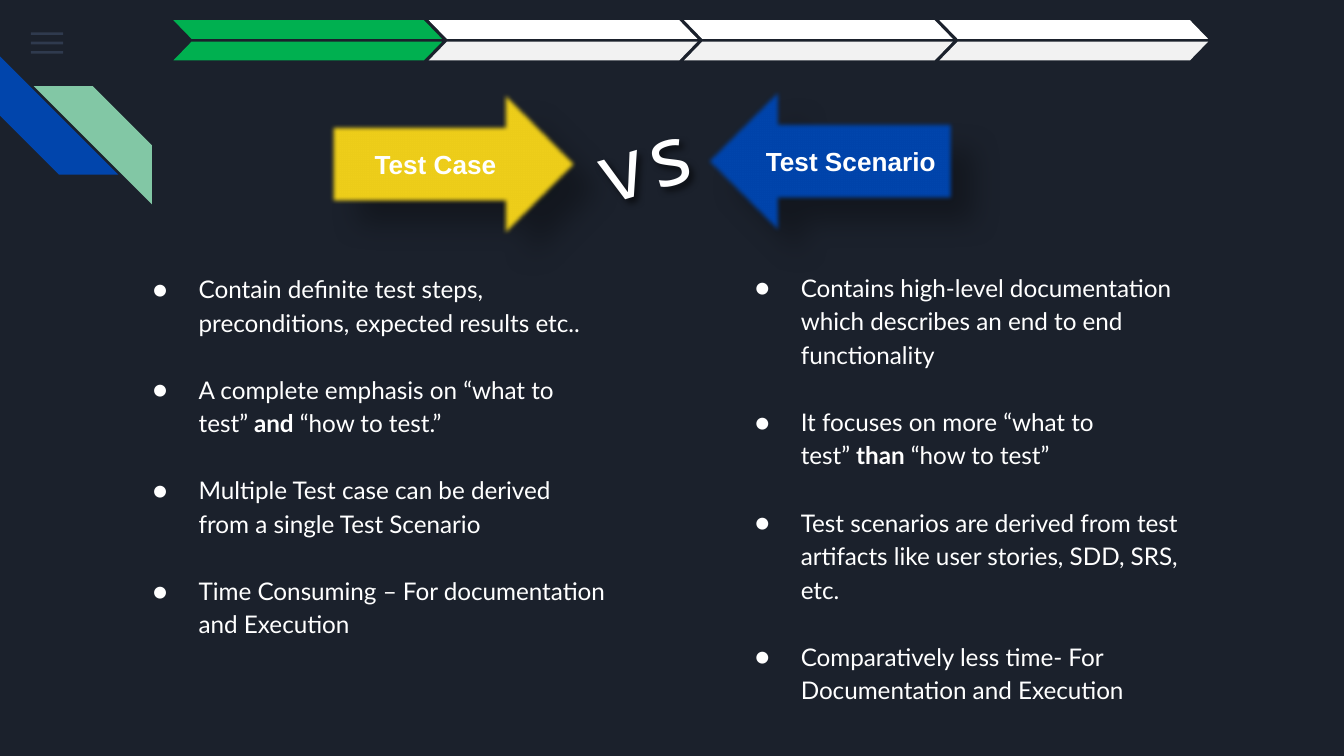
"""Build the test case versus test scenario slide."""
import pptx
import pptx.dml.color
import pptx.enum.shapes
import pptx.enum.text
import pptx.oxml.ns
import pptx.util
from lxml import etree

Inches = pptx.util.Inches
Pt = pptx.util.Pt
qn = pptx.oxml.ns.qn
KIND = pptx.enum.shapes.MSO_SHAPE
ALIGN = pptx.enum.text.PP_ALIGN
ANCHOR = pptx.enum.text.MSO_ANCHOR

WHITE, PALE, GREEN = "FFFFFF", "F2F2F2", "00B050"
BLUE, GOLD, MINT = "0145AC", "EECE1A", "82C7A5"
HARD = chr(160)

CASE = [
    [("Contain definite test steps, preconditions, expected results etc..", False)],
    [("A complete emphasis on “what to test”" + HARD, False), ("and", True),
     (HARD + "“how to test.”", False)],
    [("Multiple Test case can be derived from a single Test Scenario", False)],
    [("Time Consuming – For documentation and Execution", False)],
]
SCENE = [
    [("Contains high-level documentation which describes an end to end functionality" + HARD,
      False)],
    [("It focuses on more “what to test”" + HARD, False), ("than", True),
     (HARD + "“how to test”", False)],
    [("Test scenarios are derived from test artifacts like user stories, SDD, SRS, etc.", False)],
    [("Comparatively less time- For Documentation and Execution", False)],
]


def color(code):
    """Turn a hex string into a colour."""
    return pptx.dml.color.RGBColor.from_string(code)


def sub(node, tag, **attrs):
    """Add a child element with the given attributes."""
    return etree.SubElement(node, qn(tag), {key: str(val) for key, val in attrs.items()})


def write(par, text, font="Arial", size=14, bold=False):
    """Add a white run of text to a paragraph."""
    run = par.add_run()
    run.text = text
    run.font.name = font
    run.font.size = Pt(size)
    run.font.bold = bold
    run.font.color.rgb = color(WHITE)


def draw(slide, kind, box, fill, flip=False, turn=0, adj=None, alpha=None):
    """Draw a filled preset shape without an outline."""
    shape = slide.shapes.add_shape(kind, *map(Inches, box))
    shape.shadow.inherit = False
    shape.fill.solid()
    shape.fill.fore_color.rgb = color(fill)
    shape.line.fill.background()
    shape.rotation = turn
    if adj is not None:
        shape.adjustments[0] = adj
    props = shape._element.spPr
    if flip:
        props.find(qn("a:xfrm")).set("flipH", "1")
    if alpha is not None:
        sub(props.find(".//" + qn("a:srgbClr")), "a:alpha", val=alpha * 1000)
    return shape


def shade(shape, blur, gap, alpha, soft=0):
    """Give a shape a diagonal shadow and, if asked, soft edges."""
    props = shape._element.spPr
    list_ = props.find(qn("a:effectLst"))
    if list_ is None:
        list_ = sub(props, "a:effectLst")
    cast = sub(list_, "a:outerShdw", blurRad=Pt(blur), dist=Pt(gap),
               dir=45 * 60000, algn="tl", rotWithShape=0)
    sub(sub(cast, "a:srgbClr", val="000000"), "a:alpha", val=alpha * 1000)
    if soft:
        sub(list_, "a:softEdge", rad=Pt(soft))


def arrow(slide, box, fill, turn=0):
    """Draw a block arrow with a shadow."""
    shape = draw(slide, KIND.RIGHT_ARROW, box, fill, turn=turn)
    shade(shape, 15, 18, 30, soft=2.5)
    return shape


def label(slide, box, text, turn=0, **form):
    """Place one line of text on the slide."""
    shape = slide.shapes.add_textbox(*map(Inches, box))
    shape.rotation = turn
    shape.text_frame.word_wrap = True
    write(shape.text_frame.paragraphs[0], text, **form)
    return shape


def bullets(slide, box, items):
    """Place a list of bulleted paragraphs."""
    frame = slide.shapes.add_textbox(*map(Inches, box)).text_frame
    frame.word_wrap = True
    frame.margin_top = frame.margin_bottom = Inches(0.1)
    for num, item in enumerate(items):
        par = frame.add_paragraph() if num else frame.paragraphs[0]
        props = par._p.get_or_add_pPr()
        props.set("marL", str(Inches(0.5)))
        props.set("indent", str(Inches(-0.34)))
        sub(sub(props, "a:buClr"), "a:srgbClr", val=WHITE)
        sub(props, "a:buFont", typeface="Lato")
        sub(props, "a:buChar", char="●")
        par.line_spacing = 1.15
        if num:
            par.space_before = Pt(18)
        for text, bold in item:
            write(par, text, font="Lato", size=13, bold=bold)


def main():
    """Build and save the slide."""
    deck = pptx.Presentation()
    deck.slide_width, deck.slide_height = Inches(10), Inches(10 * 9 / 16)
    slide = deck.slides.add_slide(deck.slide_layouts[6])
    slide.background.fill.solid()
    slide.background.fill.fore_color.rgb = color("1B212C")

    for row in range(3):
        draw(slide, KIND.RECTANGLE, (0.23, 0.24 + 0.07 * row, 0.24, 0.02), "55688B", alpha=36)
    draw(slide, KIND.DIAGONAL_STRIPE, (0, 0.42, 0.88, 0.88), BLUE, turn=270, adj=0.5)
    draw(slide, KIND.DIAGONAL_STRIPE, (0.25, 0.64, 0.88, 0.88), MINT, flip=True, adj=0.5)

    for step in range(4):
        left = 1.29 + 1.9 * step
        tones = (WHITE, PALE) if step else (GREEN, GREEN)
        for top, tone, flip in zip((0.15, 0.31), tones, (True, False)):
            draw(slide, KIND.PARALLELOGRAM, (left, top, 2, 0.14), tone, flip=flip, adj=0.97)

    case = arrow(slide, (2.45, 0.62, 1.88, 1.2), GOLD)
    case.text_frame.vertical_anchor = ANCHOR.MIDDLE
    par = case.text_frame.paragraphs[0]
    par.alignment = ALIGN.CENTER
    write(par, "Test Case", bold=True)
    arrow(slide, (5.22, 0.6, 1.88, 1.2), BLUE, turn=180)
    label(slide, (5.6, 1.03, 1.48, 0.34), "Test Scenario", bold=True)
    versus = label(slide, (4.32, 0.73, 1.23, 0.84), "vs", turn=343.2,
                   font="Noto Sans Mono", size=44)
    shade(versus, 4, 3, 60)

    bullets(slide, (0.88, 1.91, 3.72, 3.18), CASE)
    bullets(slide, (5.36, 1.9, 3.72, 3.18), SCENE)
    deck.save("out.pptx")


if __name__ == "__main__":
    main()
